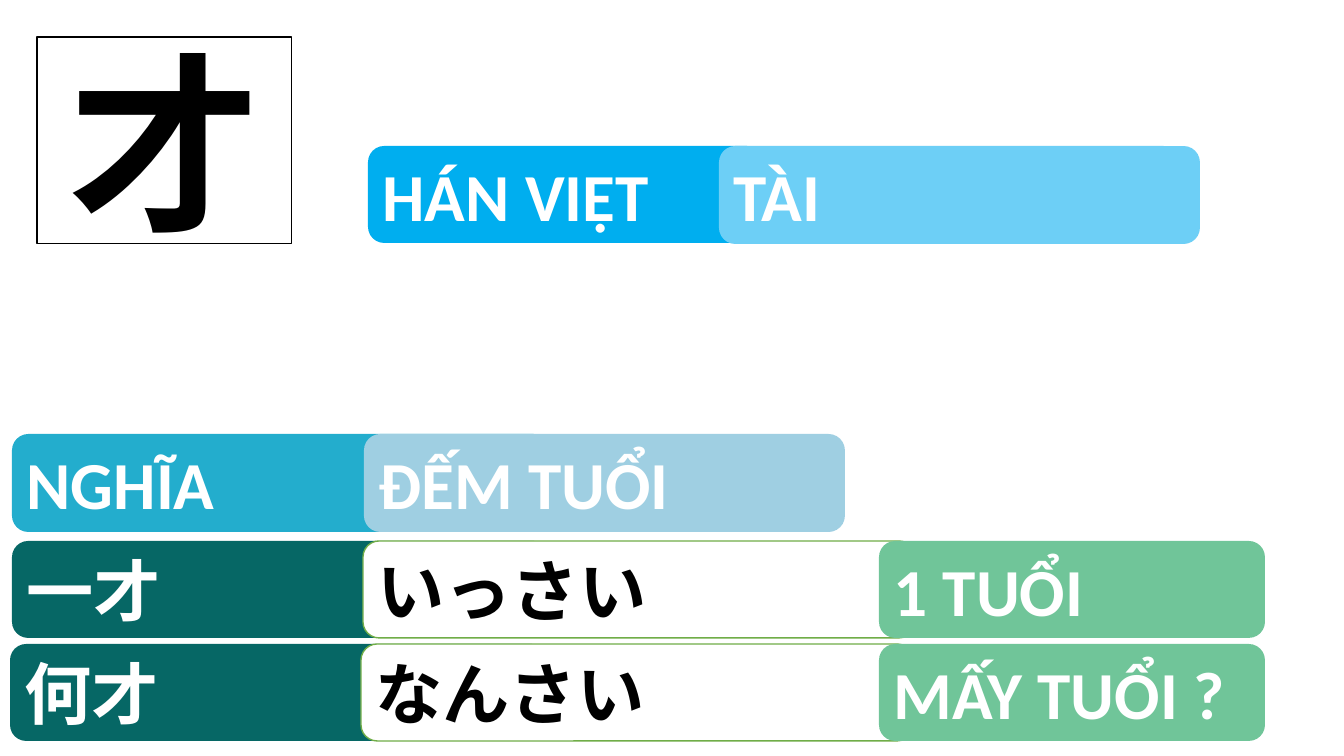
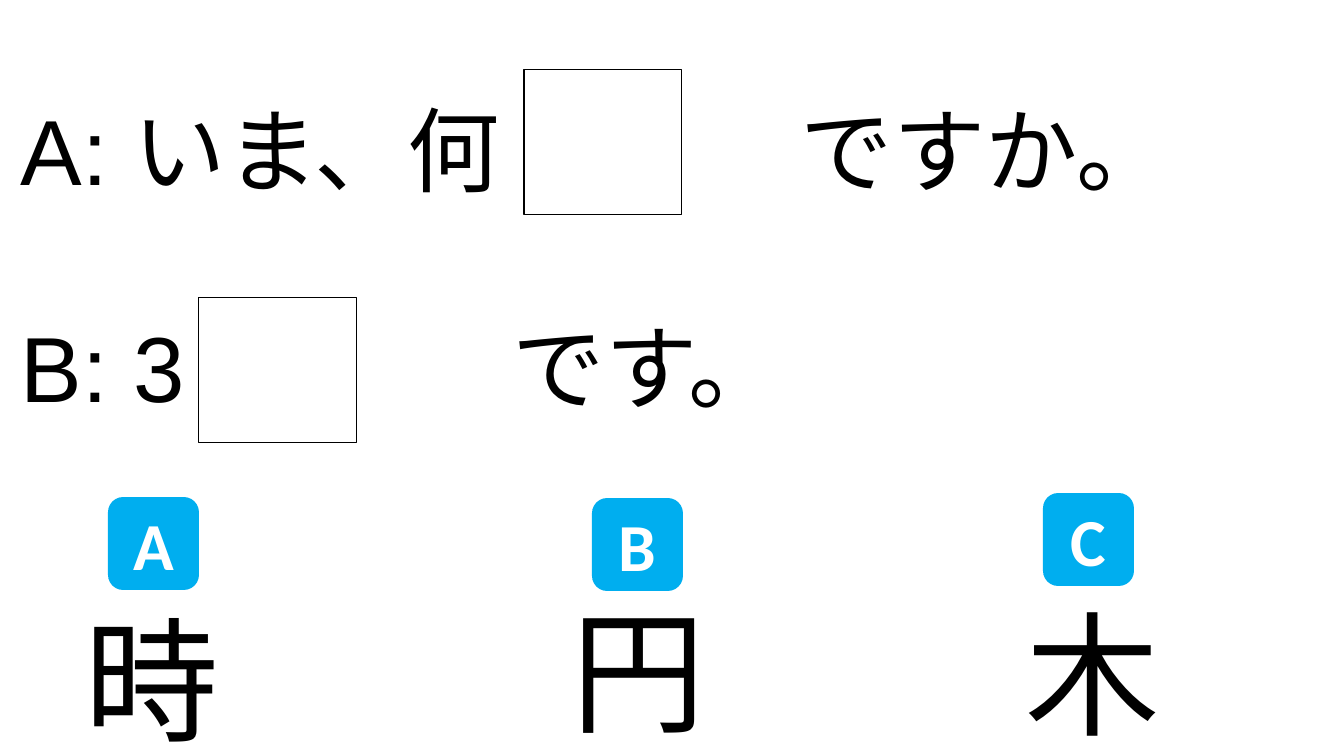
"""Build a kanji card and its fill-in quiz as two slides."""
from dataclasses import dataclass

from lxml.etree import SubElement
from pptx import Presentation
from pptx.dml.color import RGBColor
from pptx.enum.shapes import MSO_SHAPE
from pptx.enum.text import MSO_ANCHOR, MSO_AUTO_SIZE, PP_ALIGN
from pptx.oxml.ns import qn
from pptx.util import Pt

PX = 914400 / 100.8


@dataclass(frozen=True)
class Theme:
    """Colours, fonts and type sizes shared by the slides."""
    black: str = "000000"
    white: str = "FFFFFF"
    blue: str = "00AEEF"
    sky: str = "6DCFF6"
    cyan: str = "23ADCD"
    mist: str = "9FCFE2"
    teal: str = "066765"
    mint: str = "70C599"
    leaf: str = "70AD47"
    label_font: str = "Calibri"
    body_font: str = "Arial"
    kanji_font: str = "Noto Sans CJK JP"
    label: int = 48
    sentence: int = 66
    answer: int = 96
    kanji: int = 138


def emu(*lengths):
    """Turn pixels into EMU."""
    return [round(n * PX) for n in lengths]


def write(tf, text, *, font, size, color, bold=False, align=PP_ALIGN.LEFT,
          east_asian=None, gap=0, tabs=()):
    """Fill a text frame, one paragraph for each line of text."""
    tf.word_wrap = True
    for i, line in enumerate(text.split("\n")):
        p = tf.add_paragraph() if i else tf.paragraphs[0]
        p.alignment = align
        p.space_before = Pt(gap if i else 0)
        if tabs:
            stops = SubElement(p._p.get_or_add_pPr(), qn("a:tabLst"))
            SubElement(stops, qn("a:tab"), pos=str(emu(tabs[i])[0]), algn="l")
        r = p.add_run()
        r.text = line
        r.font.name, r.font.size, r.font.bold = font, Pt(size), bold
        r.font.color.rgb = RGBColor.from_string(color)
        if east_asian:
            SubElement(r._r.get_or_add_rPr(), qn("a:ea"), typeface=east_asian)


class Deck:
    """Hold the style and the current slide, and draw elements on it."""

    def __init__(self, theme):
        """Start an empty widescreen presentation."""
        self.t = theme
        self.prs = Presentation()
        self.prs.slide_width, self.prs.slide_height = emu(1344, 756)
        self.s = None

    def slide(self, layout):
        """Add a slide with the named layout and make it current."""
        self.s = self.prs.slides.add_slide(
            self.prs.slide_layouts.get_by_name(layout))

    def outline(self, sp, color, width):
        """Give a shape a solid line."""
        sp.line.color.rgb = RGBColor.from_string(color)
        sp.line.width = Pt(width)

    def headword(self, text, box):
        """Place the slide title as a large framed kanji."""
        sp = self.s.shapes.title
        sp.left, sp.top, sp.width, sp.height = emu(*box)
        self.outline(sp, self.t.black, 0.75)
        sp.text_frame.auto_size = MSO_AUTO_SIZE.NONE
        sp.text_frame.vertical_anchor = MSO_ANCHOR.MIDDLE
        write(sp.text_frame, text, font=self.t.kanji_font, size=self.t.kanji,
              color=self.t.black, bold=True, align=PP_ALIGN.CENTER,
              east_asian=self.t.kanji_font)

    def shape(self, kind, box, fill, line=None, width=1):
        """Draw a flat preset shape."""
        sp = self.s.shapes.add_shape(kind, *emu(*box))
        sp.shadow.inherit = False
        sp.fill.solid()
        sp.fill.fore_color.rgb = RGBColor.from_string(fill)
        if line:
            self.outline(sp, line, width)
        else:
            sp.line.fill.background()
        return sp

    def label(self, text, box, fill, line=None, color=None,
              align=PP_ALIGN.LEFT):
        """Draw a rounded label with bold text."""
        sp = self.shape(MSO_SHAPE.ROUNDED_RECTANGLE, box, fill, line)
        sp.text_frame.vertical_anchor = MSO_ANCHOR.MIDDLE
        write(sp.text_frame, text, font=self.t.label_font, size=self.t.label,
              color=color or self.t.white, bold=True, align=align)

    def blank(self, x, y):
        """Draw an empty answer box."""
        self.shape(MSO_SHAPE.RECTANGLE, (x, y, 158, 145), self.t.white,
                   self.t.black, 0.75)

    def text(self, text, box, size, **fmt):
        """Add a plain text box."""
        tf = self.s.shapes.add_textbox(*emu(*box)).text_frame
        tf.auto_size = MSO_AUTO_SIZE.SHAPE_TO_FIT_TEXT
        write(tf, text, font=self.t.body_font, size=size,
              color=self.t.black, **fmt)


def kanji_card(d):
    """Build the card with reading, meaning and examples."""
    t = d.t
    d.slide("Title Only")
    d.headword("才", (37, 37, 255, 207))
    d.label("HÁN VIỆT", (368, 146, 395, 97), t.blue)
    d.label("TÀI", (719, 146, 481, 98), t.sky)
    d.label("NGHĨA", (12, 434, 538, 98), t.cyan)
    d.label("ĐẾM TUỔI", (364, 434, 481, 98), t.mist)
    examples = [(12, 541, "一才", "いっさい", "1 TUỔI"),
                (10, 644, "何才", "なんさい", "MẤY TUỔI ?")]
    for x, y, word, reading, meaning in examples:
        d.label(word, (x, y, 538, 97), t.teal)
        d.label(reading, (x + 351, y, 552, 97), t.white, t.leaf, t.black)
        d.label(meaning, (879, y, 386, 97), t.mint)


def quiz(d):
    """Build the dialogue with blanks and three choices."""
    d.slide("Blank")
    d.text("A: いま、何\tですか。\nB: 3\tです。", (11, 88, 1333, 346),
           d.t.sentence, gap=76, tabs=(780, 492))
    choices = [("A", 108, 497, "時", 75, 592),
               ("B", 592, 498, "円", 562, 583),
               ("C", 1043, 493, "木", 1016, 586)]
    for letter, x, y, kanji, kanji_x, kanji_y in choices:
        d.text(kanji, (kanji_x, kanji_y, 210, 173), d.t.answer)
        d.label(letter, (x, y, 91, 93), d.t.blue, align=PP_ALIGN.CENTER)
    for x, y in [(524, 70), (199, 298)]:
        d.blank(x, y)


deck = Deck(Theme())
kanji_card(deck)
quiz(deck)
deck.prs.save("out.pptx")
